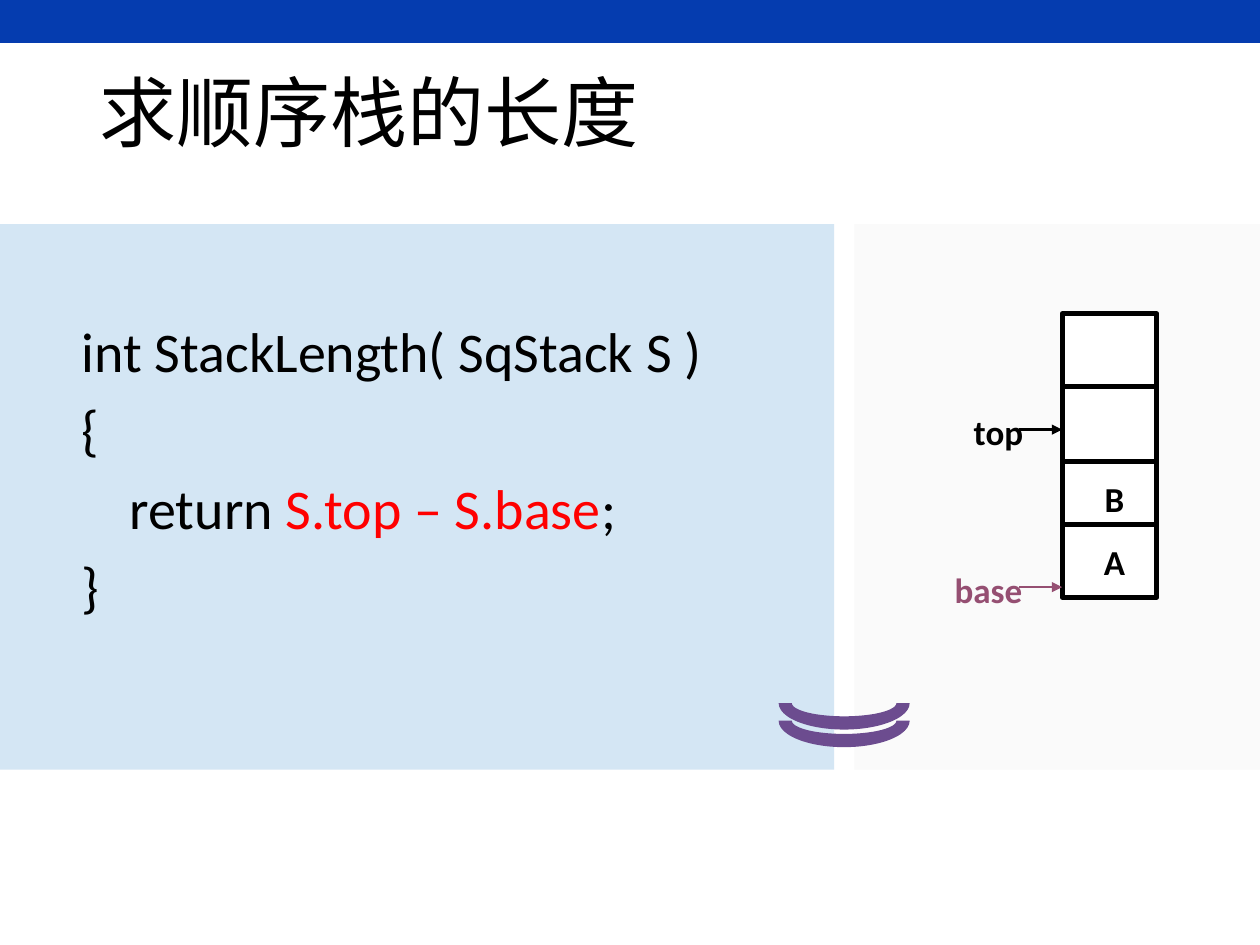
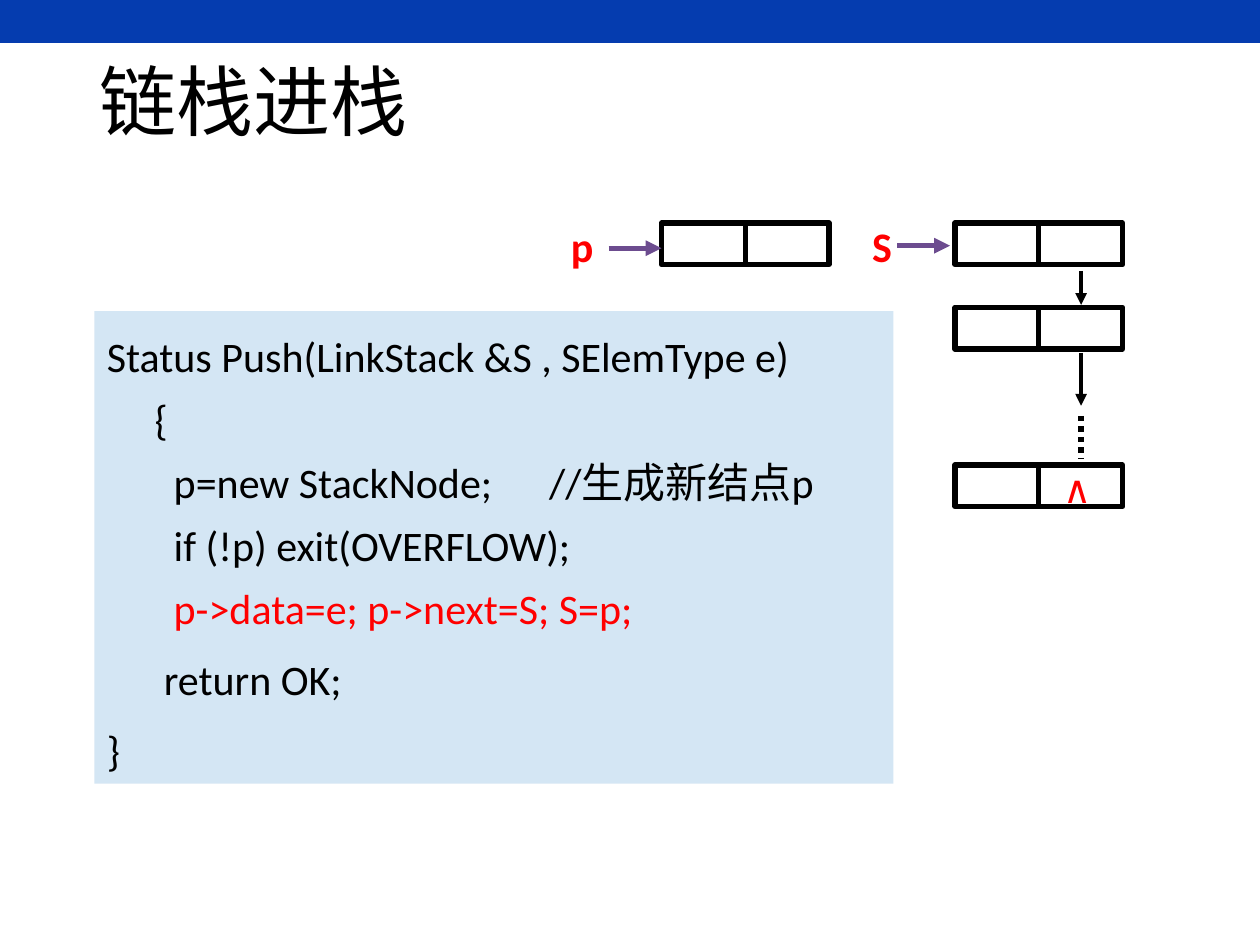
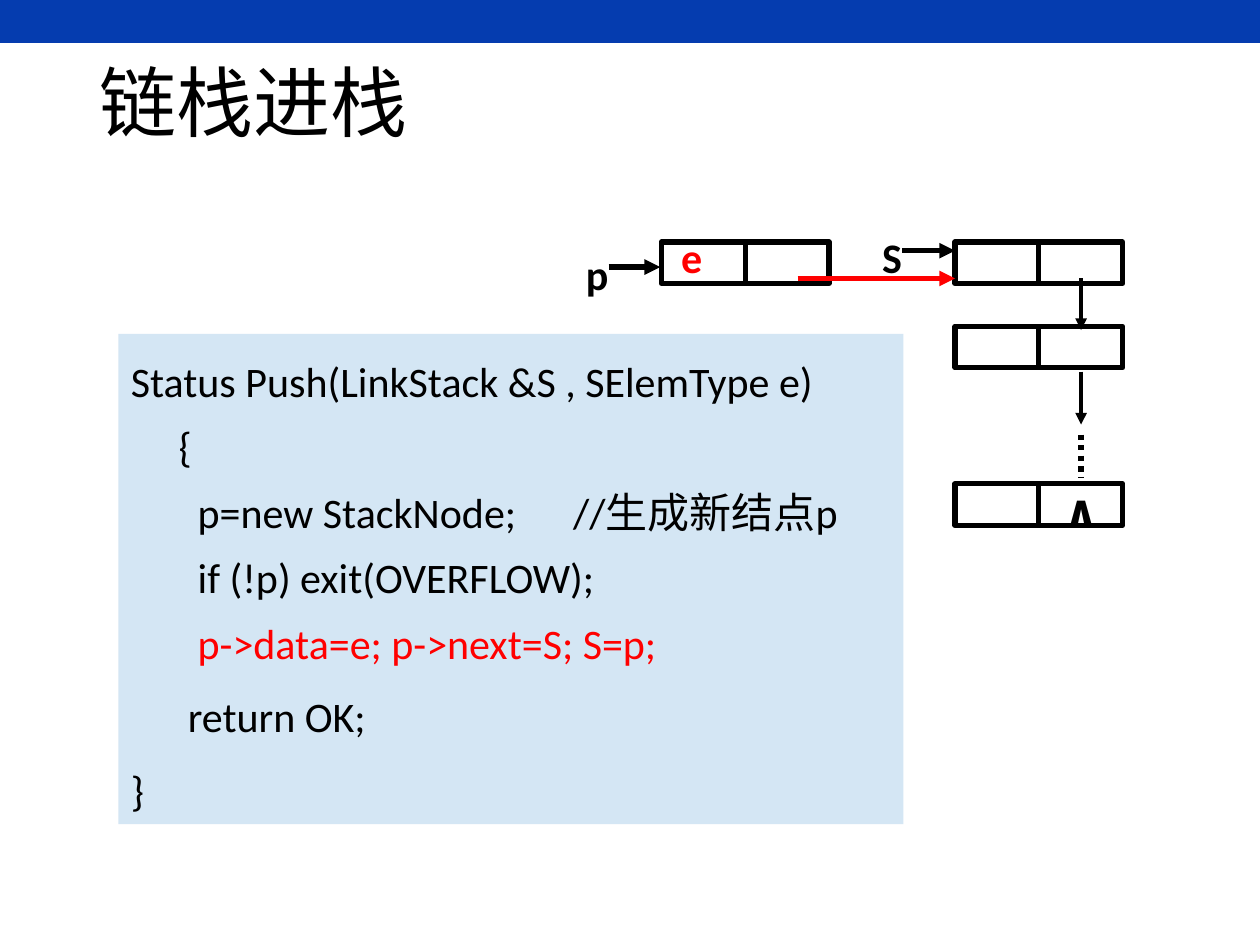
from dataclasses import dataclass

from lxml import etree
from pptx import Presentation
from pptx.dml.color import RGBColor
from pptx.enum.dml import MSO_LINE
from pptx.enum.shapes import MSO_CONNECTOR, MSO_SHAPE
from pptx.enum.text import MSO_ANCHOR, MSO_AUTO_SIZE, PP_ALIGN
from pptx.oxml.ns import qn
from pptx.util import Inches, Pt

RECT, ARC = MSO_SHAPE.RECTANGLE, MSO_SHAPE.BLOCK_ARC
STRAIGHT, DOTS = MSO_CONNECTOR.STRAIGHT, MSO_LINE.ROUND_DOT
TOP, MIDDLE = MSO_ANCHOR.TOP, MSO_ANCHOR.MIDDLE
GROW, FIXED = MSO_AUTO_SIZE.SHAPE_TO_FIT_TEXT, MSO_AUTO_SIZE.NONE
LEFT, CENTER = PP_ALIGN.LEFT, PP_ALIGN.CENTER

FONT = "Calibri"
BLACK = RGBColor(0x00, 0x00, 0x00)
WHITE = RGBColor(0xFF, 0xFF, 0xFF)
RED = RGBColor(0xFF, 0x00, 0x00)
BLUE = RGBColor(0x05, 0x3C, 0xAF)
PALE = RGBColor(0xD4, 0xE6, 0xF4)
GRAY = RGBColor(0xFA, 0xFA, 0xFA)
PURPLE = RGBColor(0x6C, 0x4C, 0x8F)
PLUM = RGBColor(0x95, 0x4F, 0x72)

HANG = 0.38
NODE_X, NODE_W, NODE_H = 7.58, 1.33, 0.33
NEW_X = 5.25
LINK_X = 8.58


@dataclass
class Box:
    x: float
    y: float
    w: float
    h: float

    def place(self) -> tuple:
        return tuple(Inches(v) for v in (self.x, self.y, self.w, self.h))


@dataclass
class Label:
    text: str
    box: Box
    color: RGBColor = BLACK
    size: float = 24
    bold: bool = True


@dataclass
class Line:
    x1: float
    y1: float
    x2: float
    y2: float
    color: RGBColor = BLACK
    width: float = 3
    arrow: bool = True
    dotted: bool = False


@dataclass
class Span:
    text: str
    color: RGBColor = BLACK


LENGTH_CODE = [
    [Span("int StackLength( SqStack S )")],
    [Span("{")],
    [Span("\treturn "), Span("S.top – S.base", RED), Span(";")],
    [Span("}")],
]
PUSH_CODE = [
    [Span("Status Push(LinkStack &S , SElemType e)\n{\n"
          "  p=new StackNode;      //生成新结点p\n"
          "  if (!p) exit(OVERFLOW);\n  "),
     Span("p->data=e; p->next=S; S=p;", RED)],
    [Span("      return OK;")],
    [Span("}")],
]


def add_shape(slide, box: Box, fill: RGBColor, kind=RECT, border: float = 0):
    shape = slide.shapes.add_shape(kind, *box.place())
    shape.shadow.inherit = False
    shape.fill.solid()
    shape.fill.fore_color.rgb = fill
    if border:
        shape.line.color.rgb = BLACK
        shape.line.width = Pt(border)
    else:
        shape.line.fill.background()
    return shape


def add_line(slide, line: Line) -> None:
    ends = (Inches(v) for v in (line.x1, line.y1, line.x2, line.y2))
    link = slide.shapes.add_connector(STRAIGHT, *ends)
    link.line.color.rgb = line.color
    link.line.width = Pt(line.width)
    if line.dotted:
        link.line.dash_style = DOTS
    props = link.element.spPr
    if line.arrow:
        etree.SubElement(props.find(qn("a:ln")), qn("a:tailEnd"), type="triangle")
    etree.SubElement(props, qn("a:effectLst"))


def set_frame(shape):
    frame = shape.text_frame
    frame.word_wrap = True
    frame.vertical_anchor = TOP
    frame.auto_size = GROW
    return frame


def add_label(slide, label: Label) -> None:
    frame = set_frame(slide.shapes.add_textbox(*label.box.place()))
    frame.text = label.text
    para = frame.paragraphs[0]
    para.alignment = CENTER
    para.font.name, para.font.size = FONT, Pt(label.size)
    para.font.bold = label.bold
    para.font.color.rgb = label.color


def add_span(para, span: Span) -> None:
    for i, text in enumerate(span.text.split("\n")):
        if i:
            para.add_line_break()
        run = para.add_run()
        run.text = text
        run.font.color.rgb = span.color


def write_code(shape, code: list[list[Span]], size: float, spacing: float) -> None:
    frame = set_frame(shape)
    for i, spans in enumerate(code):
        para = frame.add_paragraph() if i else frame.paragraphs[0]
        props = para._p.get_or_add_pPr()
        props.set("marL", str(Inches(HANG)))
        props.set("indent", str(-Inches(HANG)))
        para.alignment = LEFT
        para.line_spacing = spacing
        if i:
            para.space_before = Pt(size * 0.2)
        para.font.name, para.font.size = FONT, Pt(size)
        for span in spans:
            add_span(para, span)


def add_slide(deck, layout, text: str, height: float):
    slide = deck.slides.add_slide(layout)
    title = slide.shapes.title
    title.left, title.top, title.width, title.height = Box(0.69, 0.4, 8.62, height).place()
    frame = title.text_frame
    frame.text = text
    frame.auto_size = FIXED
    frame.vertical_anchor = MIDDLE
    para = frame.paragraphs[0]
    para.alignment = LEFT
    para.line_spacing = 0.9
    para.font.name, para.font.size = FONT, Pt(44)
    para.font.color.rgb = BLACK
    return slide


def move_band(slide, layout) -> None:
    """Put the top band on the layout, behind all that its slides hold."""
    band = add_shape(slide, Box(0, 0, 10, 0.34), BLUE)
    layout.placeholders[0].element.addprevious(band.element)


def add_node(slide, x: float, y: float) -> None:
    add_shape(slide, Box(x, y, NODE_W, NODE_H), WHITE, border=3)
    mid = x + NODE_W / 2
    add_line(slide, Line(mid, y, mid, y + NODE_H, arrow=False))


def add_chain(slide, top: float, first: tuple[float, float]) -> None:
    """Draw the new node and the linked stack; first spans the first link."""
    add_node(slide, NEW_X, top)
    for drop in (0, 0.67, 1.92):
        add_node(slide, NODE_X, top + drop)
    for start, end in (first, (1.03, 1.45)):
        add_line(slide, Line(LINK_X, top + start, LINK_X, top + end, width=2.25))
    add_line(slide, Line(LINK_X, top + 1.53, LINK_X, top + 1.87,
                         arrow=False, dotted=True))


def add_marks(slide, lines: list[Line], labels: list[Label]) -> None:
    for line in lines:
        add_line(slide, line)
    for label in labels:
        add_label(slide, label)


def draw_length(slide) -> None:
    add_shape(slide, Box(0, 1.78, 6.62, 4.33), PALE)
    add_shape(slide, Box(6.78, 1.78, 3.22, 4.33), GRAY)
    for y in (5.51, 5.37):
        arc = add_shape(slide, Box(6.18, y, 1.04, 0.42), PURPLE, ARC)
        arc.element.spPr.xfrm.set("flipV", "1")
    code = slide.shapes.add_textbox(*Box(0.55, 2.46, 5.87, 2.58).place())
    write_code(code, LENGTH_CODE, 32, 1.0)

    add_shape(slide, Box(8.43, 2.49, 0.75, 2.25), WHITE, border=3)
    for y in (3.07, 3.66, 4.16):
        add_line(slide, Line(8.43, y, 9.18, y, arrow=False))
    add_marks(
        slide,
        [Line(8.09, 4.66, 8.43, 4.66, PLUM, 1.5),
         Line(8.09, 3.41, 8.43, 3.41, width=1.5)],
        [Label("base", Box(7.18, 4.46, 1.33, 0.43), PLUM, 20),
         Label("top", Box(7.26, 3.21, 1.33, 0.43), size=20),
         Label("A", Box(8.51, 4.24, 0.67, 0.43), size=20),
         Label("B", Box(8.51, 3.74, 0.67, 0.43), size=20)])


def draw_before(slide) -> None:
    panel = add_shape(slide, Box(0.75, 2.47, 6.34, 3.75), PALE)
    write_code(panel, PUSH_CODE, 24, 1.25)
    add_chain(slide, 1.77, (0.38, 0.65))
    add_marks(
        slide,
        [Line(4.83, 1.97, 5.25, 1.97, PURPLE),
         Line(7.12, 1.95, 7.54, 1.95, PURPLE)],
        [Label("p", Box(4.37, 1.7, 0.5, 0.5), RED),
         Label("S", Box(6.75, 1.7, 0.5, 0.5), RED),
         Label("∧", Box(8.33, 3.64, 0.44, 0.47), RED, 22, False)])


def draw_after(slide) -> None:
    add_chain(slide, 1.92, (0.29, 0.7))
    add_marks(
        slide,
        [Line(4.83, 2.12, 5.24, 2.12),
         Line(7.16, 1.99, 7.58, 1.99),
         Line(6.33, 2.21, 7.58, 2.21, RED)],
        [Label("p", Box(4.49, 1.92, 0.5, 0.5)),
         Label("S", Box(6.83, 1.79, 0.5, 0.5)),
         Label("∧", Box(8.33, 3.79, 0.5, 0.5)),
         Label("e", Box(5.24, 1.79, 0.5, 0.5), RED)])
    panel = add_shape(slide, Box(0.94, 2.65, 6.23, 3.89), PALE)
    write_code(panel, PUSH_CODE, 24, 1.3)


def main() -> None:
    deck = Presentation()
    deck.slide_width, deck.slide_height = Inches(10), Inches(7.5)
    layout = deck.slide_layouts.get_by_name("Title Only")
    pages = [("求顺序栈的长度", 1.05, draw_length),
             ("链栈进栈", 0.88, draw_before),
             ("链栈进栈", 0.89, draw_after)]
    for i, (title, height, draw) in enumerate(pages):
        slide = add_slide(deck, layout, title, height)
        if i == 0:
            move_band(slide, layout)
        draw(slide)
    deck.save("out.pptx")


if __name__ == "__main__":
    main()
